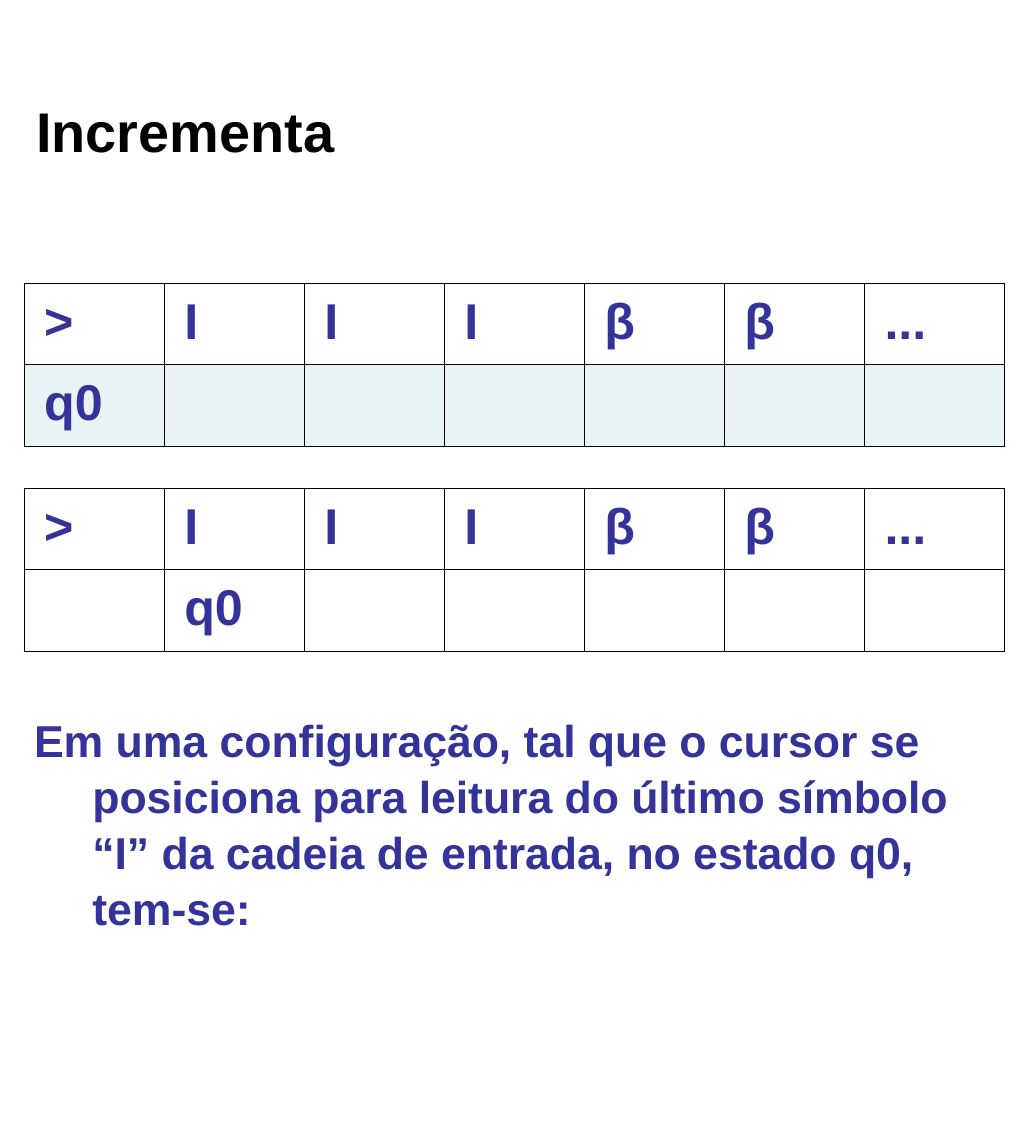
from lxml import etree
from pptx import Presentation
from pptx import util as u
from pptx.dml.color import RGBColor
from pptx.enum import text as t
from pptx.oxml import ns

COLORS = {"ink": "000000", "blue": "333399", "tint": "E7F3F4"}
WIDE, HIGH = 5.12, 5.71
TAPE = [">", "I", "I", "I", "β", "β", "..."]
STATE = "q0"
BODY = ("Em uma configuração, tal que o cursor se posiciona para leitura do "
        "último símbolo “I” da cadeia de entrada, no estado q0, tem-se:")


def write(frame, words, size=18, color="blue", left=0, indent=0, spacing=None):
    """Fill a text frame; left and indent are margins in inches."""
    para = frame.paragraphs[0]
    props = para._p.get_or_add_pPr()
    props.set("marL", str(u.Inches(left)))
    props.set("indent", str(u.Inches(indent)))
    para.line_spacing = spacing
    run = para.add_run()
    run.text = words
    font = run.font
    font.name, font.size, font.bold = "Arial", u.Pt(size), True
    font.color.rgb = RGBColor.from_string(COLORS[color])


def add_text(slide, box, words, anchor=t.MSO_ANCHOR.TOP, **style):
    frame = slide.shapes.add_textbox(*map(u.Inches, box)).text_frame
    frame.word_wrap = True
    frame.vertical_anchor = anchor
    frame.margin_left = frame.margin_right = u.Inches(0.08)
    frame.margin_top = frame.margin_bottom = u.Inches(0.04)
    write(frame, words, **style)


def add_edges(cell):
    props = cell._tc.get_or_add_tcPr()
    for place, side in enumerate(("lnL", "lnR", "lnT", "lnB")):
        line = etree.Element(ns.qn("a:" + side), w=str(u.Pt(0.45)))
        fill = etree.SubElement(line, ns.qn("a:solidFill"))
        etree.SubElement(fill, ns.qn("a:srgbClr"), val=COLORS["ink"])
        props.insert(place, line)


def add_tape(slide, box, head, tint=None):
    """Draw the tape symbols above the state, which sits in column head."""
    states = [STATE if col == head else "" for col in range(len(TAPE))]
    rows = [TAPE, states]
    table = slide.shapes.add_table(
        len(rows), len(TAPE), *map(u.Inches, box)).table
    table.first_row = table.horz_banding = False
    for col in table.columns:
        col.width = u.Inches(box[2] / len(TAPE))
    for r, row in enumerate(rows):
        table.rows[r].height = u.Inches(box[3] / len(rows))
        for c, words in enumerate(row):
            cell = table.cell(r, c)
            if r and tint:
                cell.fill.solid()
                cell.fill.fore_color.rgb = RGBColor.from_string(COLORS[tint])
            else:
                cell.fill.background()
            add_edges(cell)
            if words:
                write(cell.text_frame, words)


def main():
    deck = Presentation()
    deck.slide_width, deck.slide_height = u.Inches(WIDE), u.Inches(HIGH)
    slide = deck.slides.add_slide(deck.slide_layouts[6])
    add_text(slide, (0, 0, WIDE, 1.29), "Incrementa",
             anchor=t.MSO_ANCHOR.MIDDLE, size=20, color="ink", left=0.1)
    add_text(slide, (0.09, 3.49, WIDE - 0.09, 1.89), BODY,
             size=16, left=0.29, indent=-0.29, spacing=1.05)
    for head, (top, tint) in enumerate([(1.41, "tint"), (2.43, None)]):
        add_tape(slide, (0.12, top, WIDE - 0.24, 0.81), head, tint)
    deck.save("out.pptx")


if __name__ == "__main__":
    main()
